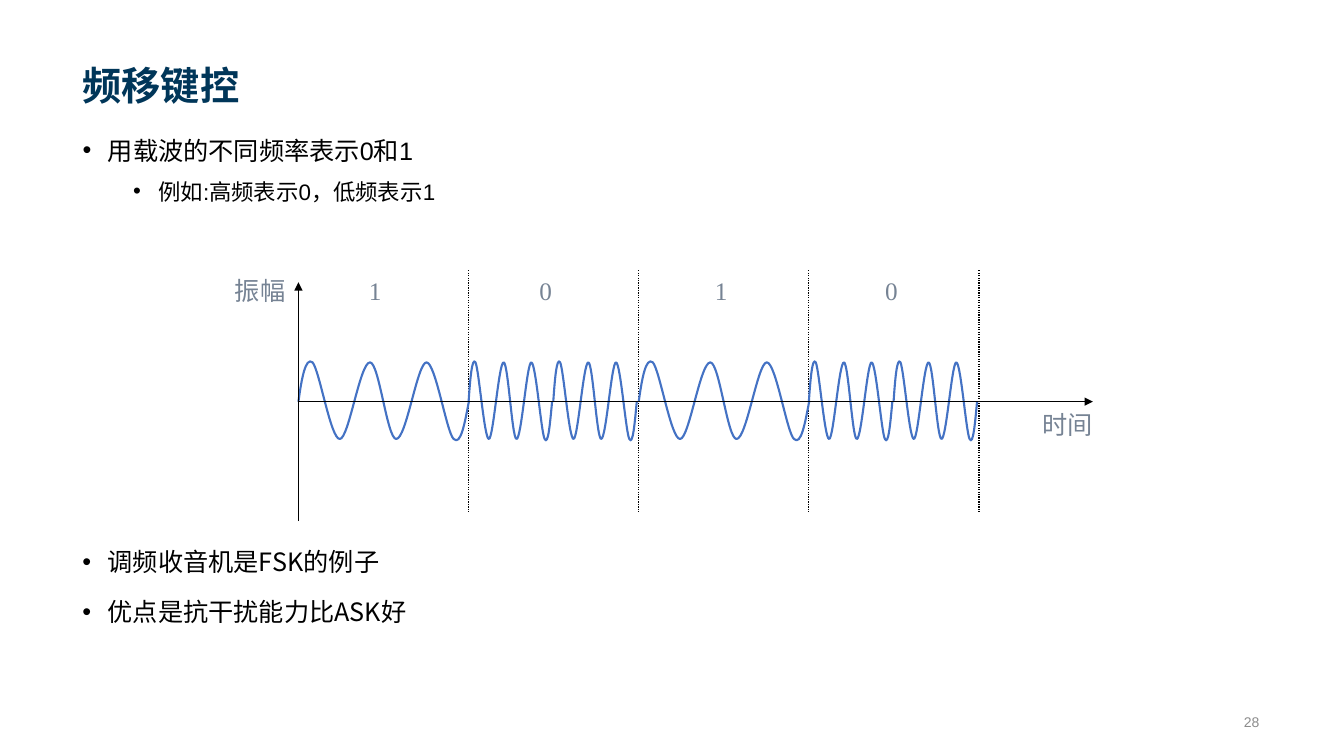
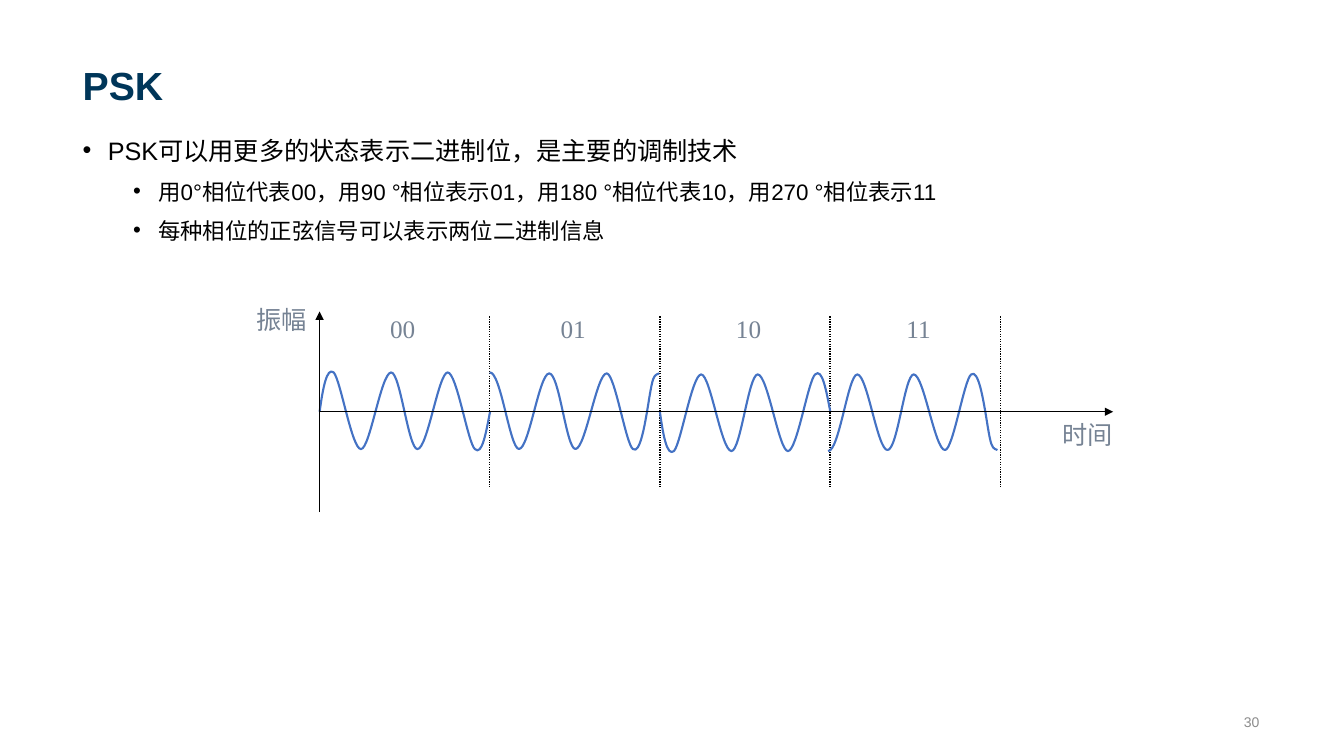
from lxml import etree
from pptx import Presentation
from pptx import util as u
from pptx.dml import color as c
from pptx.enum import dml, shapes, text
from pptx.oxml import ns

NAVY = c.RGBColor(0x00, 0x36, 0x59)
BLACK = c.RGBColor(0x00, 0x00, 0x00)
GRAY = c.RGBColor(0x8C, 0x8C, 0x8C)
SLATE = c.RGBColor(0x76, 0x83, 0x94)
BLUE = c.RGBColor(0x44, 0x72, 0xC4)

SANS = "Arial"
CHINESE = "Noto Sans CJK SC"
SERIF = "Times New Roman"

SYMBOL_WIDTH = 6.75 / 4
LABEL_OFFSETS = (0.70, 2.39, 4.13, 5.82)

SINE = [
    (0, 0),
    (0.03, -0.22), (0.07, -0.45), (0.14, -0.39),
    (0.21, -0.31), (0.32, 0.37), (0.41, 0.37),
    (0.50, 0.37), (0.61, -0.39), (0.71, -0.39),
    (0.80, -0.39), (0.88, 0.37), (0.97, 0.37),
    (1.07, 0.37), (1.18, -0.39), (1.27, -0.39),
    (1.36, -0.39), (1.47, 0.31), (1.54, 0.37),
    (1.61, 0.44), (1.65, 0.21), (1.69, 0),
]
COSINE = [
    (0, -0.39),
    (0.11, -0.40), (0.20, 0.37), (0.29, 0.37),
    (0.39, 0.37), (0.49, -0.38), (0.59, -0.38),
    (0.69, -0.38), (0.76, 0.37), (0.85, 0.37),
    (0.95, 0.37), (1.06, -0.38), (1.16, -0.38),
    (1.24, -0.38), (1.35, 0.32), (1.42, 0.37),
    (1.49, 0.43), (1.54, 0.11), (1.56, 0),
    (1.58, -0.12), (1.60, -0.26), (1.62, -0.32),
    (1.64, -0.38), (1.67, -0.37), (1.68, -0.38),
]


def transform(points, shift=0, stretch=1, flip=1):
    return [(shift + x * stretch, y * flip) for x, y in points]


FREQUENCY_WAVES = {
    "1": [SINE],
    "0": [transform(SINE, shift, 0.49) for shift in (0, 0.84)],
}
PHASE_WAVES = {
    "00": [SINE],
    "01": [COSINE],
    "10": [transform(SINE, flip=-1)],
    "11": [transform(COSINE, shift=-0.02, flip=-1)],
}


def inches(*lengths):
    return [u.Inches(length) for length in lengths]


def set_font(paragraph, name, size, color, bold=False):
    font = paragraph.font
    font.name = name
    font.size = u.Pt(size)
    font.bold = bold
    font.color.rgb = color
    properties = paragraph._p.get_or_add_pPr().find(ns.qn("a:defRPr"))
    etree.SubElement(properties, ns.qn("a:ea"), typeface=CHINESE)


def move(shape, box):
    shape.left, shape.top, shape.width, shape.height = inches(*box)


def add_title(slide, title, box):
    shape = slide.shapes.title
    move(shape, box)
    frame = shape.text_frame
    frame.text = title
    frame.auto_size = text.MSO_AUTO_SIZE.NONE
    frame.vertical_anchor = text.MSO_ANCHOR.BOTTOM
    paragraph = frame.paragraphs[0]
    paragraph.alignment = text.PP_ALIGN.LEFT
    set_font(paragraph, SANS, 28, NAVY, True)


def fill_bullets(shape, items, font_name=SANS):
    frame = shape.text_frame
    frame.word_wrap = True
    frame.auto_size = text.MSO_AUTO_SIZE.NONE
    for index, (level, words) in enumerate(items):
        paragraph = frame.add_paragraph() if index else frame.paragraphs[0]
        paragraph.text = words
        paragraph.level = level
        paragraph.line_spacing = 1.2
        space = 5 if level else 10
        paragraph.space_before = u.Pt(space if index else 0)
        properties = paragraph._p.get_or_add_pPr()
        properties.set("marL", str(u.Inches(0.25 + level * 0.5)))
        properties.set("indent", str(u.Inches(-0.25)))
        etree.SubElement(properties, ns.qn("a:buFont"), typeface=SANS)
        etree.SubElement(properties, ns.qn("a:buChar"), char="•")
        set_font(paragraph, font_name, 16 if level else 18, BLACK)


def add_body(slide, items, box):
    shape = slide.placeholders[1]
    move(shape, box)
    fill_bullets(shape, items)


def add_page_number(slide, number, box):
    frame = slide.shapes.add_textbox(*inches(*box)).text_frame
    frame.word_wrap = True
    frame.vertical_anchor = text.MSO_ANCHOR.MIDDLE
    paragraph = frame.paragraphs[0]
    paragraph.text = number
    paragraph.alignment = text.PP_ALIGN.RIGHT
    set_font(paragraph, SANS, 10, GRAY)


def add_label(slide, words, left, top, width, font_name):
    box = inches(left, top, width, 0.3)
    frame = slide.shapes.add_textbox(*box).text_frame
    frame.margin_left = frame.margin_right = 0
    frame.margin_top = frame.margin_bottom = 0
    frame.word_wrap = False
    frame.auto_size = text.MSO_AUTO_SIZE.SHAPE_TO_FIT_TEXT
    paragraph = frame.paragraphs[0]
    paragraph.text = words
    paragraph.alignment = text.PP_ALIGN.LEFT
    set_font(paragraph, font_name, 18, SLATE)


def add_line(parent, start, end, width, dotted=False, arrow=False):
    connector = parent.shapes.add_connector(
        shapes.MSO_CONNECTOR.STRAIGHT, *inches(*start, *end))
    connector.line.color.rgb = BLACK
    connector.line.width = u.Pt(width)
    if dotted:
        connector.line.dash_style = dml.MSO_LINE.ROUND_DOT
    properties = connector._element.spPr
    if arrow:
        outline = properties.find(ns.qn("a:ln"))
        etree.SubElement(outline, ns.qn("a:tailEnd"), type="triangle")
    etree.SubElement(properties, ns.qn("a:effectLst"))


def bend_segments(shape):
    outline = next(shape._element.iter(ns.qn("a:path")))
    segments = outline.findall(ns.qn("a:lnTo"))
    for index in range(0, len(segments), 3):
        curve = etree.SubElement(outline, ns.qn("a:cubicBezTo"))
        for segment in segments[index:index + 3]:
            curve.append(segment[0])
            outline.remove(segment)


def add_wave(slide, points, left, baseline):
    vertices = [inches(left + x, baseline + y) for x, y in points]
    builder = slide.shapes.build_freeform(*vertices[0])
    builder.add_line_segments(vertices[1:], close=False)
    wave = builder.convert_to_shape()
    bend_segments(wave)
    wave.shadow.inherit = False
    wave.fill.background()
    wave.line.color.rgb = BLUE
    wave.line.width = u.Pt(1.5)


def add_signal_chart(slide, box, symbols, waves, dividers, label_top):
    left, top, width, height = box
    baseline = top + height / 2
    divider_top, divider_bottom = dividers
    group = slide.shapes.add_group_shape()
    for index, symbol in enumerate(symbols):
        start = left + index * SYMBOL_WIDTH
        end = start + SYMBOL_WIDTH
        for points in waves[symbol]:
            add_wave(slide, points, start, baseline)
        add_line(group, (end, top + divider_top),
                 (end, top + divider_bottom), 0.88, dotted=True)
        add_label(slide, symbol, left + LABEL_OFFSETS[index],
                  top + label_top, 0.13 * len(symbol), SERIF)
    add_line(slide, (left, top + height), (left, top), 0.75, arrow=True)
    add_line(slide, (left, baseline), (left + width, baseline), 0.75,
             arrow=True)
    add_label(slide, "振幅", left - 0.63, top - 0.07, 0.5, CHINESE)
    add_label(slide, "时间", left + width - 0.5, baseline + 0.08, 0.5,
              CHINESE)


def add_content_slide(presentation, title, items, body_height, number):
    slide = presentation.slides.add_slide(presentation.slide_layouts[1])
    add_title(slide, title, (0.72, 0.15, 11.88, 0.98))
    add_body(slide, items, (0.72, 1.23, 11.87, body_height))
    add_page_number(slide, number, (8.49, 7.01, 4.1, 0.3))
    return slide


def add_frequency_slide(presentation):
    items = [(0, "用载波的不同频率表示0和1"),
             (1, "例如:高频表示0，低频表示1")]
    slide = add_content_slide(presentation, "频移键控", items, 1.01, "28")
    add_signal_chart(slide, (2.96, 2.8, 7.88, 2.37), ["1", "0", "1", "0"],
                     FREQUENCY_WAVES, (-0.12, 2.29), -0.07)
    remarks = slide.shapes.add_textbox(*inches(0.72, 5.31, 11.87, 1.01))
    fill_bullets(remarks, [(0, "调频收音机是FSK的例子"),
                           (0, "优点是抗干扰能力比ASK好")], CHINESE)


def add_phase_slide(presentation):
    items = [
        (0, "PSK可以用更多的状态表示二进制位，是主要的调制技术"),
        (1, "用0°相位代表00，用90 °相位表示01，"
            "用180 °相位代表10，用270 °相位表示11"),
        (1, "每种相位的正弦信号可以表示两位二进制信息"),
    ]
    slide = add_content_slide(presentation, "PSK", items, 1.5, "30")
    add_signal_chart(slide, (3.17, 3.09, 7.87, 1.99),
                     ["00", "01", "10", "11"],
                     PHASE_WAVES, (0.05, 1.74), 0.02)


def main():
    presentation = Presentation()
    presentation.slide_width = u.Inches(13.33)
    presentation.slide_height = u.Inches(7.5)
    add_frequency_slide(presentation)
    add_phase_slide(presentation)
    presentation.save("out.pptx")


if __name__ == "__main__":
    main()
